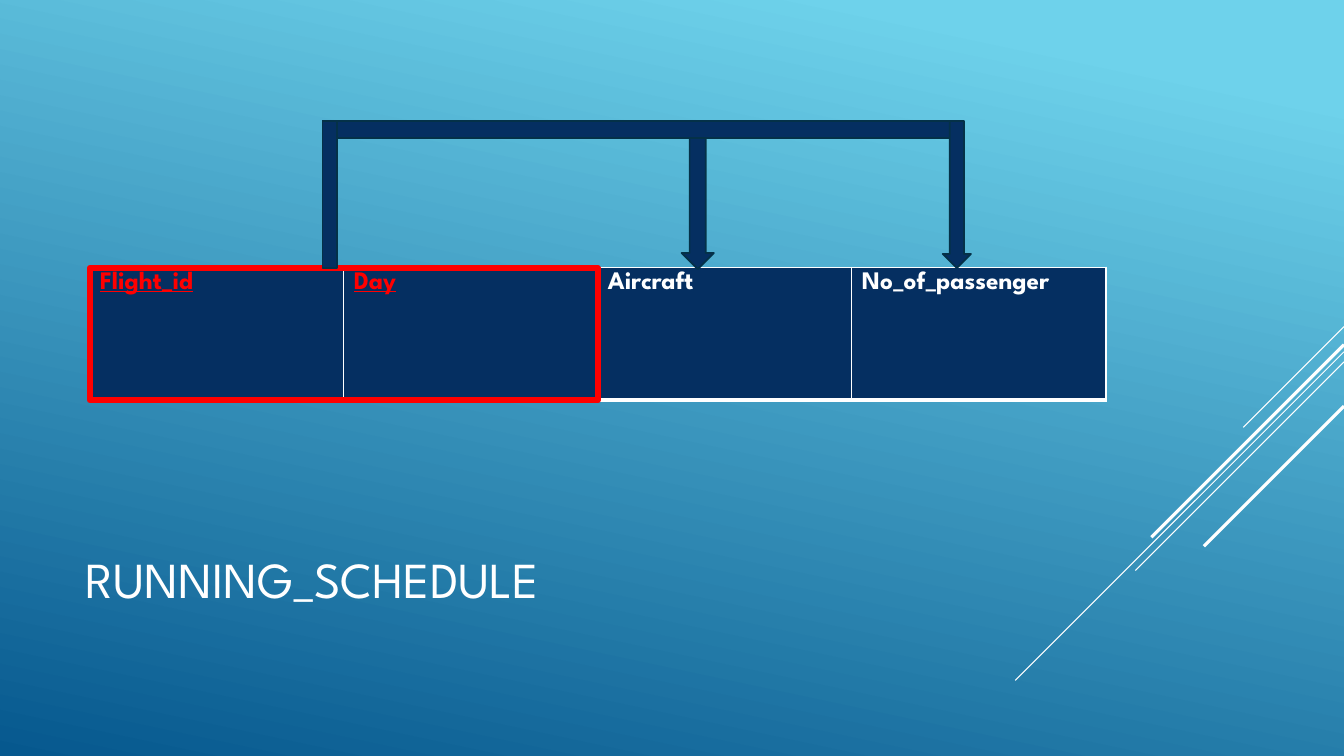
from lxml.etree import SubElement
from pptx import Presentation
from pptx.dml.color import RGBColor
from pptx.enum.shapes import MSO_CONNECTOR, MSO_SHAPE
from pptx.enum.text import MSO_ANCHOR
from pptx.oxml.ns import qn
from pptx.util import Inches, Pt

# Content
FONT = "League Spartan"
WHITE, RED, NAVY, EDGE = "FFFFFF", "FF0000", "052F61", "043148"
TITLE = "RUNNING_SCHEDULE"
KEY_COLUMNS = ["Flight_id", "Day"]
OTHER_COLUMNS = ["Aircraft", "No_of_passenger"]
GRADIENT = [(0.1, "6ED2EB"), (1, "06588E")]
BORDERS = [("a:lnL", 1), ("a:lnR", 1), ("a:lnT", 1), ("a:lnB", 3)]

# Diagonal lines: start y on the right edge, horizontal run, width
STRIPES = [(3.24, 1, 0.75), (3.49, 3.26, 0.75), (3.59, 2.07, 0.75),
           (3.42, 1.91, 2.25), (4.03, 1.39, 2.25)]

# Table and dependency arrows
SLIDE_WIDTH, SLIDE_HEIGHT = 13.33, 7.5
TABLE_LEFT, TABLE_TOP, COLUMN_WIDTH, ROW_HEIGHT = 0.89, 2.65, 2.52, 1.32
KEY_FRAME = (TABLE_LEFT, 2.66, COLUMN_WIDTH * len(KEY_COLUMNS), 1.31)
DEPENDENCY = [
    (MSO_SHAPE.RECTANGLE, (3.2, 1.2, 6.3, 0.17)),
    (MSO_SHAPE.RECTANGLE, (3.2, 1.2, 0.14, 1.46)),
    (MSO_SHAPE.DOWN_ARROW, (6.76, 1.37, 0.32, 1.3)),
    (MSO_SHAPE.DOWN_ARROW, (9.35, 1.2, 0.28, 1.46)),
]


def color(value):
    return RGBColor.from_string(value)


def write(frame, text, tint, **formats):
    span = frame.paragraphs[0].add_run()
    span.text = text
    span.font.color.rgb = color(tint)
    for name, value in {"name": FONT, **formats}.items():
        setattr(span.font, name, value)


def add_box(page, kind, place, line, width, fill=None):
    box = page.shapes.add_shape(kind, *map(Inches, place))
    box.shadow.inherit = False
    if fill:
        box.fill.solid()
        box.fill.fore_color.rgb = color(fill)
    else:
        box.fill.background()
    box.line.color.rgb = color(line)
    box.line.width = Pt(width)


def add_borders(cell):
    properties = cell._tc.get_or_add_tcPr()
    for position, (tag, width) in enumerate(BORDERS):
        border = SubElement(properties, qn(tag), w=str(Pt(width)))
        solid = SubElement(border, qn("a:solidFill"))
        SubElement(solid, qn("a:srgbClr"), val=WHITE)
        properties.insert(position, border)


deck = Presentation()
deck.slide_width, deck.slide_height = Inches(SLIDE_WIDTH), Inches(SLIDE_HEIGHT)
page = deck.slides.add_slide(deck.slide_layouts[6])

# Background, with the angle measured counter-clockwise
backdrop = page.background.fill
backdrop.gradient()
backdrop.gradient_angle = 360 - 102
for stop, (position, tint) in zip(backdrop.gradient_stops, GRADIENT):
    stop.position = position
    stop.color.rgb = color(tint)

# Diagonal lines
for top, run, width in STRIPES:
    ends = (SLIDE_WIDTH, top, SLIDE_WIDTH - run, top + run)
    stripe = page.shapes.add_connector(MSO_CONNECTOR.STRAIGHT, *map(Inches, ends))
    stripe.line.color.rgb = color(WHITE)
    stripe.line.width = Pt(width)
    SubElement(stripe._element.spPr, qn("a:effectLst"))

# Title
title = page.shapes.add_textbox(*map(Inches, (0.75, 4.91, 9.33, 1.65)))
title.text_frame.word_wrap = True
title.text_frame.vertical_anchor = MSO_ANCHOR.MIDDLE
write(title.text_frame, TITLE, WHITE, size=Pt(36))

# Table
columns = KEY_COLUMNS + OTHER_COLUMNS
place = (TABLE_LEFT, TABLE_TOP, COLUMN_WIDTH * len(columns), ROW_HEIGHT)
table = page.shapes.add_table(1, len(columns), *map(Inches, place)).table
for cell, text in zip(table.rows[0].cells, columns):
    is_key = text in KEY_COLUMNS
    cell.fill.solid()
    cell.fill.fore_color.rgb = color(NAVY)
    add_borders(cell)
    write(cell.text_frame, text, RED if is_key else WHITE,
          size=Pt(18), bold=True, underline=is_key)

# Key frame and dependency arrows
add_box(page, MSO_SHAPE.RECTANGLE, KEY_FRAME, RED, 4.5)
for kind, place in DEPENDENCY:
    add_box(page, kind, place, EDGE, 1.25, NAVY)

deck.save("out.pptx")
